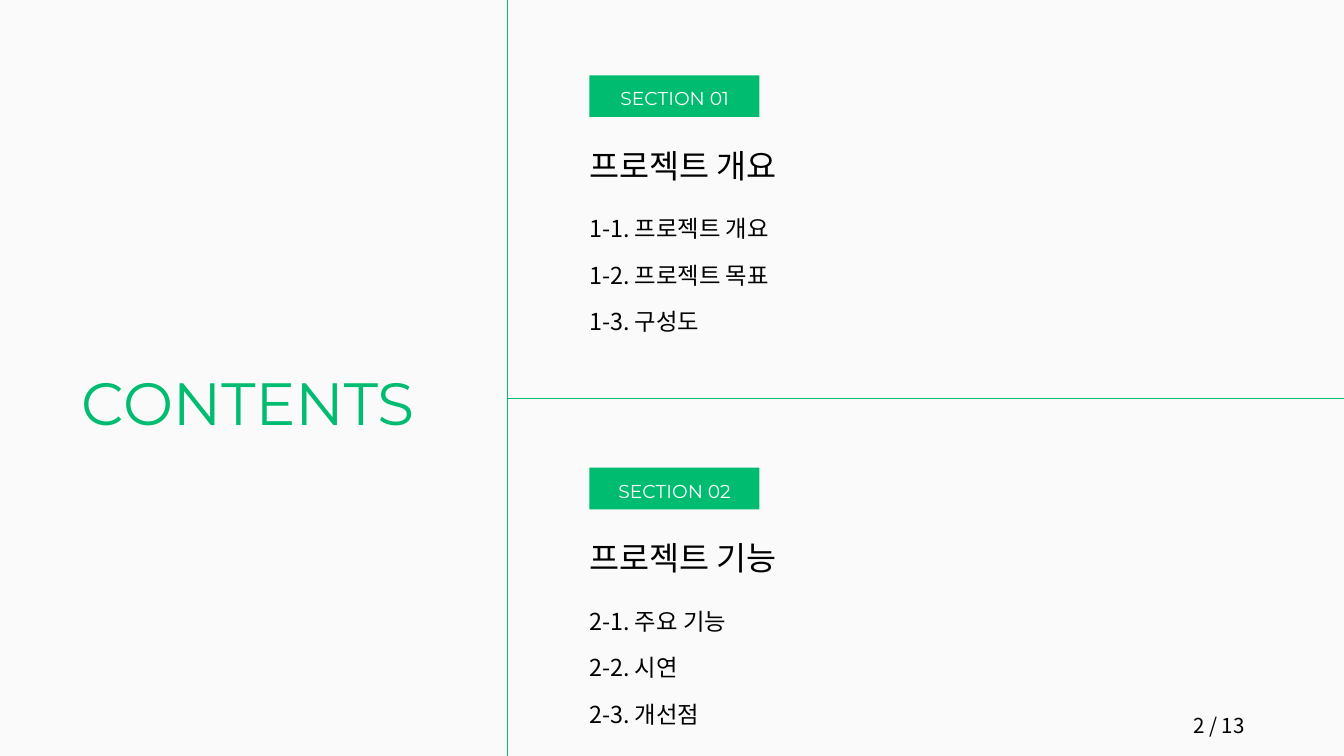
from lxml import etree
from pptx import Presentation
from pptx.dml.color import RGBColor
from pptx.enum.shapes import MSO_CONNECTOR, MSO_SHAPE
from pptx.enum.text import MSO_AUTO_SIZE, PP_ALIGN
from pptx.oxml.ns import qn
from pptx.util import Inches, Pt

LEFT, MID = PP_ALIGN.LEFT, PP_ALIGN.CENTER
FIT = MSO_AUTO_SIZE.SHAPE_TO_FIT_TEXT
LINE, RECT = MSO_CONNECTOR.STRAIGHT, MSO_SHAPE.RECTANGLE
GREEN = RGBColor(0x00, 0xBC, 0x70)
BLACK = RGBColor(0x00, 0x00, 0x00)
WHITE = RGBColor(0xFF, 0xFF, 0xFF)
PAPER = RGBColor(0xFA, 0xFA, 0xFA)
SANS, MONT = "Noto Sans CJK SC", "Montserrat"

TITLE = "CONTENTS"
PAGE = "2 / 13"
PARTS = [
    ("SECTION 01", "프로젝트 개요",
     ["1-1. 프로젝트 개요", "1-2. 프로젝트 목표", "1-3. 구성도"]),
    ("SECTION 02", "프로젝트 기능",
     ["2-1. 주요 기능", "2-2. 시연", "2-3. 개선점"]),
]

STYLES = {
    "title": (MONT, 63.9, GREEN, 89.4, MID),
    "tag": (MONT, 20, WHITE, 28, MID),
    "head": (SANS, 35, BLACK, 49, LEFT),
    "list": (SANS, 25, BLACK, 50, LEFT),
    "page": (SANS, 22, BLACK, 30.8, MID),
}

WIDE, HIGH = 20, 11.25
SPLIT, CROSS = 7.55, 5.93
COL, TOP, STEP = 8.77, 1.12, 5.84
TAG_W, TAG_H = 2.53, 0.62


def add_text(slide, lines, style, left, top, width, height):
    face, size, color, lead, align = STYLES[style]
    box = slide.shapes.add_textbox(*map(Inches, (left, top, width, height)))
    frame = box.text_frame
    form = {"word_wrap": True, "auto_size": FIT, "margin_left": 0,
            "margin_top": 0, "margin_right": 0, "margin_bottom": 0}
    for key, value in form.items():
        setattr(frame, key, value)
    for i, line in enumerate(lines):
        para = frame.add_paragraph() if i else frame.paragraphs[0]
        para.alignment = align
        para.line_spacing = Pt(lead)
        run = para.add_run()
        run.text = line
        for key, value in {"name": face, "size": Pt(size)}.items():
            setattr(run.font, key, value)
        run.font.color.rgb = color
        east = etree.SubElement(run.font._element, qn("a:ea"))
        east.set("typeface", face)


def add_line(slide, *ends):
    rule = slide.shapes.add_connector(LINE, *map(Inches, ends))
    rule.line.color.rgb = GREEN
    rule.line.width = Pt(1.5)
    etree.SubElement(rule._element.spPr, qn("a:effectLst"))


def add_part(slide, top, tag, head, items):
    label = slide.shapes.add_shape(
        RECT, *map(Inches, (COL, top, TAG_W, TAG_H)))
    label.shadow.inherit = False
    label.fill.solid()
    label.fill.fore_color.rgb = GREEN
    label.line.fill.background()
    add_text(slide, [tag], "tag", COL + 0.33, top + 0.12, 1.88, 0.36)
    add_text(slide, [head], "head", COL, top + 0.95, 3.5, 0.65)
    add_text(slide, items, "list", COL, top + 1.79, 6.5, 2.08)


def main():
    deck = Presentation()
    deck.slide_width, deck.slide_height = Inches(WIDE), Inches(HIGH)
    slide = deck.slides.add_slide(deck.slide_layouts[6])
    slide.background.fill.solid()
    slide.background.fill.fore_color.rgb = PAPER

    for i, part in enumerate(PARTS):
        add_part(slide, TOP + i * STEP, *part)
    add_line(slide, SPLIT, CROSS, WIDE, CROSS)
    add_line(slide, SPLIT, 0, SPLIT, HIGH)
    add_text(slide, [TITLE], "title", 1.12, 5.27, 5.13, 1.19)
    add_text(slide, [PAGE], "page", 17.01, 10.55, 2.26, 0.41)
    deck.save("out.pptx")


if __name__ == "__main__":
    main()
